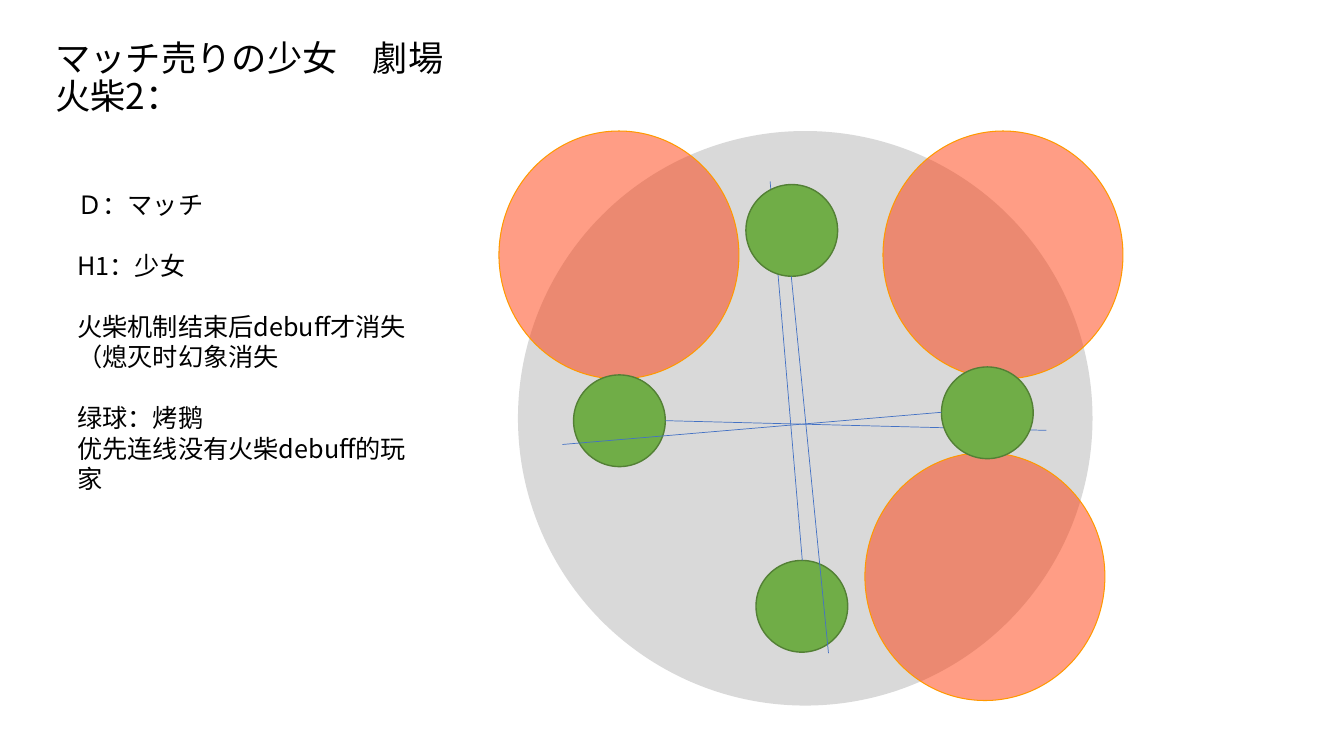
from pptx import Presentation
from pptx.dml.color import RGBColor
from pptx.enum.shapes import MSO_CONNECTOR, MSO_SHAPE
from pptx.enum.text import MSO_ANCHOR, PP_ALIGN
from pptx.oxml.ns import qn
from pptx.util import Pt
from lxml import etree

OVAL, LINE = MSO_SHAPE.OVAL, MSO_CONNECTOR.STRAIGHT
TOP, LEFT = MSO_ANCHOR.TOP, PP_ALIGN.LEFT
FONT = "Noto Sans CJK SC"
COLORS = {"text": "000000", "floor": "D9D9D9", "fire": "FF3300", "flame": "FF9900",
          "ball": "70AD47", "rim": "538035", "beam": "4472C4"}

deck = Presentation()
deck.slide_width, deck.slide_height = Pt(960), Pt(540)
slide = deck.slides.add_slide(deck.slide_layouts[5])
shapes = slide.shapes


def style(para, size, pitch):
    para.alignment = LEFT
    para.line_spacing = Pt(pitch)
    font = para.font
    font.name, font.size = FONT, Pt(size)
    font.color.rgb = RGBColor.from_string(COLORS["text"])
    props = para._p.pPr.find(qn("a:defRPr"))
    latin = props.find(qn("a:latin"))
    east = etree.Element(qn("a:ea"), typeface=FONT)
    latin.addnext(east)


def circle(left, top, width, height, fill, rim=None, weight=0):
    disc = shapes.add_shape(OVAL, Pt(left), Pt(top), Pt(width), Pt(height))
    disc.shadow.inherit = False
    disc.fill.solid()
    disc.fill.fore_color.rgb = RGBColor.from_string(COLORS[fill])
    if rim:
        disc.line.color.rgb = RGBColor.from_string(COLORS[rim])
        disc.line.width = Pt(weight)
    else:
        disc.line.fill.background()
    return disc


# Title
title = shapes.title
title.left, title.top, title.width, title.height = Pt(32.4), Pt(21.6), Pt(894.2), Pt(60.5)
frame = title.text_frame
frame.margin_left = frame.margin_right = frame.margin_top = frame.margin_bottom = Pt(7.2)
frame.vertical_anchor = TOP
frame.text = "マッチ売りの少女\u3000劇場\v火柴2：".replace("\u3000", "　")
style(frame.paragraphs[0], 25.2, 27.2)

# Arena floor
circle(370, 93.6, 410.4, 410.4, "floor")

# Fire zones, see-through
for left, top in [(356.4, 93.6), (630.7, 93.6), (617.8, 323.3)]:
    zone = circle(left, top, 171.4, 177.1, "fire", "flame", 0.75)
    tint = zone.fill._xPr.find(qn("a:solidFill"))[0]
    etree.SubElement(tint, qn("a:alpha"), val="48000")

# Notes on the left
notes = shapes.add_textbox(Pt(48.2), Pt(131.8), Pt(262.8), Pt(269.3)).text_frame
notes.word_wrap = True
lines = [("Ｄ：マッチ", 0), ("H1：少女", 21.7),
         ("火柴机制结束后debuff才消失（熄灭时幻象消失", 21.7),
         ("绿球：烤鹅", 21.7), ("优先连线没有火柴debuff的玩家", 0)]
for i, (text, gap) in enumerate(lines):
    para = notes.paragraphs[0] if i == 0 else notes.add_paragraph()
    para.text = text
    para.space_before = Pt(gap)
    style(para, 18, 21.7)

# Green balls and their beams, from back to front
SIZE = 65.5
parts = [
    ("ball", 409.7, 267.8), ("beam", 475.2, 300.5, 747.4, 307.4),
    ("ball", 540, 400.3), ("beam", 573.1, 400.3, 550.1, 129.6),
    ("ball", 672.5, 262.1), ("ball", 532.8, 131.8),
    ("beam", 591.8, 466.6, 565.2, 197.3), ("beam", 672.5, 294.5, 401.8, 317.5),
]
for kind, *spot in parts:
    if kind == "ball":
        circle(*spot, SIZE, SIZE, "ball", "rim", 1)
    else:
        beam = shapes.add_connector(LINE, *[Pt(v) for v in spot])
        beam.line.color.rgb = RGBColor.from_string(COLORS["beam"])
        beam.line.width = Pt(0.5)
        etree.SubElement(beam._element.spPr, qn("a:effectLst"))

deck.save("out.pptx")
